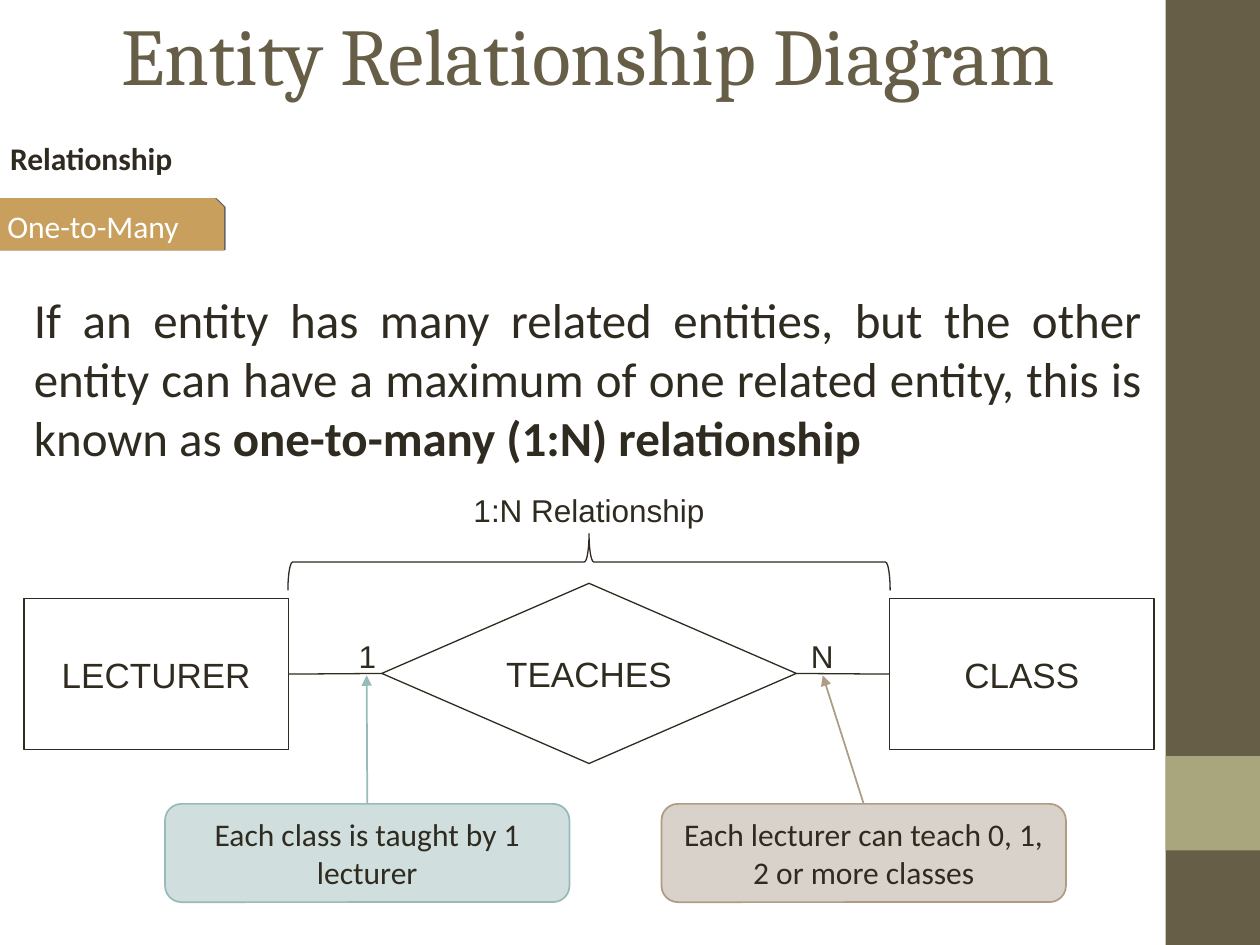
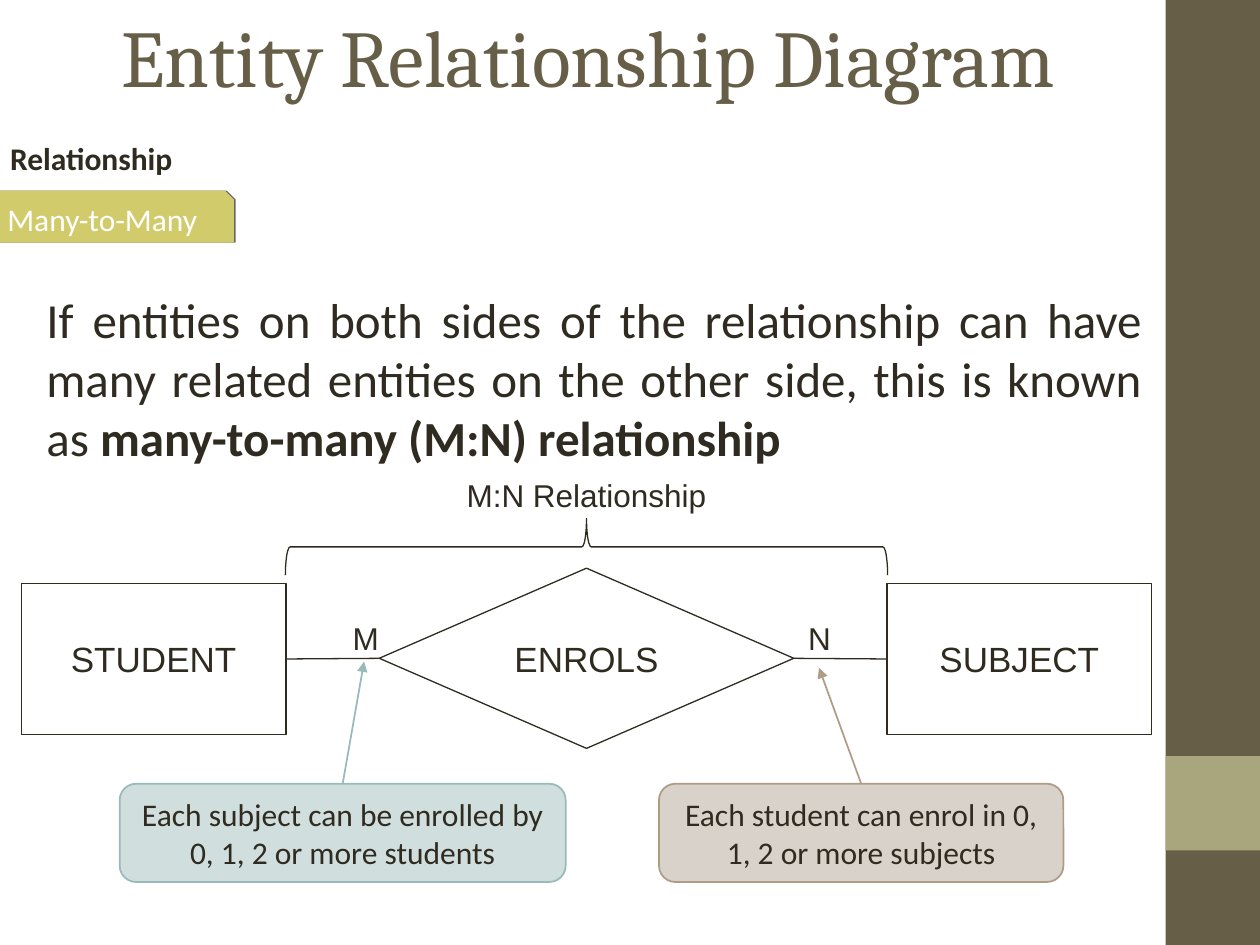
"""Two entity relationship slides: one-to-many and many-to-many."""
from dataclasses import dataclass
from typing import NamedTuple, Optional

from lxml.etree import SubElement
from pptx import Presentation
from pptx.dml.color import RGBColor
from pptx.enum.shapes import MSO_CONNECTOR, MSO_SHAPE
from pptx.enum.text import MSO_ANCHOR, PP_ALIGN
from pptx.oxml.ns import qn
from pptx.util import Inches, Pt

COLS, ROWS = 100, 75
CELL = Inches(0.1)


@dataclass(frozen=True)
class Theme:
    """Colours, fonts and type sizes of the deck."""
    olive: str = "675E47"
    sage: str = "A9A57C"
    ink: str = "2F2B20"
    white: str = "FFFFFF"
    ochre: str = "C89F5D"
    lime: str = "D2CB6C"
    teal: str = "98BBB9"
    pale_teal: str = "D0DEDE"
    tan: str = "AE9C85"
    pale_tan: str = "D9D2CA"
    head: str = "Cambria"
    body: str = "Calibri"
    diagram: str = "Arial"
    title: int = 46
    text: int = 28
    entity: int = 20
    small: int = 18
    thin: float = 0.75
    edge: float = 1


T = Theme()


class Box(NamedTuple):
    """A place on the grid, in columns and rows."""
    col: float
    row: float
    cols: float
    rows: float

    def emu(self) -> list[int]:
        """Return the place as lengths."""
        return [round(v * CELL) for v in self]


class Style(NamedTuple):
    """The look of a piece of text."""
    font: str
    size: int
    color: str = T.ink
    align: PP_ALIGN = PP_ALIGN.CENTER
    anchor: MSO_ANCHOR = MSO_ANCHOR.MIDDLE
    wrap: bool = True


TITLE = Style(T.head, T.title, T.olive)
TOPIC = Style(T.body, T.small, align=PP_ALIGN.LEFT, anchor=MSO_ANCHOR.TOP)
TAB = Style(T.body, T.small, T.white, PP_ALIGN.JUSTIFY)
BODY = Style(T.body, T.text, align=PP_ALIGN.JUSTIFY, anchor=MSO_ANCHOR.TOP)
ENTITY = Style(T.diagram, T.entity)
LABEL = Style(T.diagram, T.small, anchor=MSO_ANCHOR.TOP, wrap=False)
CAPTION = Style(T.diagram, T.small, anchor=MSO_ANCHOR.TOP)
NOTE = Style(T.body, T.small)


class Callout(NamedTuple):
    """A rounded note with an arrow to a cardinality."""
    text: str
    box: Box
    target: tuple[float, float]
    fill: str
    line: str


@dataclass(frozen=True)
class Relation:
    """Everything that differs from slide to slide."""
    title_rows: float
    tab: str
    tab_box: Box
    tab_color: str
    body_col: float
    definition: str
    term: str
    origin: tuple[float, float]
    left: str
    verb: str
    right: str
    marks: tuple[str, str]
    mark_row: float
    callouts: tuple[Callout, Callout]


RELATIONS = (
    Relation(
        8.4, "One-to-Many", Box(-0.4, 15.8, 18.1, 4), T.ochre, 1.7,
        "If an entity has many related entities, but the other entity can have "
        "a maximum of one related entity, this is known as ",
        "one-to-many (1:N) relationship",
        (1.9, 46.3), "LECTURER", "TEACHES", "CLASS", ("1", "N"), 50.1,
        (Callout("Each class is taught by 1 lecturer", Box(13.1, 63.8, 32.1, 7.8),
                 (29.1, 53.6), T.pale_teal, T.teal),
         Callout("Each lecturer can teach 0, 1, 2 or more classes",
                 Box(52.5, 63.8, 32.1, 7.8), (65.3, 53.6), T.pale_tan, T.tan))),
    Relation(
        8.8, "Many-to-Many", Box(-0.4, 15.2, 18.9, 4), T.lime, 2.7,
        "If entities on both sides of the relationship can have many related "
        "entities on the other side, this is known as ",
        "many-to-many (M:N) relationship",
        (1.7, 45.1), "STUDENT", "ENROLS", "SUBJECT", ("M", "N"), 48.6,
        (Callout("Each subject can be enrolled by 0, 1, 2 or more students",
                 Box(9.5, 62.2, 35.4, 7.8), (28.9, 52.5), T.pale_teal, T.teal),
         Callout("Each student can enrol in 0, 1, 2 or more subjects",
                 Box(52.3, 62.2, 32.1, 7.8), (65, 53), T.pale_tan, T.tan))),
)


def apply(target, values: dict) -> None:
    """Set attributes from a dict of format values."""
    for name, value in values.items():
        setattr(target, name, value)


def write(sp, style: Style, *runs: tuple[str, bool]):
    """Write one paragraph of (text, bold) runs into a shape."""
    tf = sp.text_frame
    apply(tf, {"word_wrap": style.wrap, "vertical_anchor": style.anchor})
    p = tf.paragraphs[0]
    p.alignment = style.align
    for text, bold in runs:
        r = p.add_run()
        r.text = text
        apply(r.font, {"name": style.font, "size": Pt(style.size), "bold": bold})
        r.font.color.rgb = RGBColor.from_string(style.color)
    return sp


def add_text(s, box: Box, style: Style, *runs: tuple[str, bool]):
    """Add a text box."""
    return write(s.shapes.add_textbox(*box.emu()), style, *runs)


def add_block(s, kind: MSO_SHAPE, box: Box, fill: Optional[str] = None,
              line: Optional[str] = None, width: float = T.thin):
    """Add a flat preset shape."""
    sp = s.shapes.add_shape(kind, *box.emu())
    sp.shadow.inherit = False
    for part, color in ((sp.fill, fill), (sp.line.fill, line)):
        if color:
            part.solid()
            part.fore_color.rgb = RGBColor.from_string(color)
        else:
            part.background()
    if line:
        sp.line.width = Pt(width)
    return sp


def add_line(s, start, side: int, end: tuple[float, float], color: str,
             width: float, arrow: bool = False):
    """Add a straight line that starts at the middle of a shape's side."""
    x, y = (round(v * CELL) for v in end)
    c = s.shapes.add_connector(MSO_CONNECTOR.STRAIGHT, x, y, x, y)
    c.begin_connect(start, side)
    c.line.color.rgb = RGBColor.from_string(color)
    c.line.width = Pt(width)
    if arrow:
        SubElement(c.line._get_or_add_ln(), qn("a:tailEnd"), type="triangle")
    SubElement(c._element.spPr, qn("a:effectLst"))
    return c


def add_frame(s, rel: Relation) -> None:
    """Draw the side band, title, topic and tab."""
    band = COLS * 0.925
    for row, rows, color in ((0, ROWS, T.olive), (ROWS * 0.8, ROWS * 0.1, T.sage)):
        add_block(s, MSO_SHAPE.RECTANGLE, Box(band, row, COLS - band, rows), color)
    add_text(s, Box(5, 0, 83.3, rel.title_rows), TITLE,
             ("Entity Relationship Diagram", False))
    topic = add_text(s, Box(0, 11.5, 16.3, 3.5), TOPIC, ("Relationship", True))
    apply(topic.text_frame, {"margin_left": Inches(0.08), "margin_right": Inches(0.08),
                             "margin_top": 0, "margin_bottom": 0})
    topic.text_frame.paragraphs[0].line_spacing = Pt(18)
    tab = add_block(s, MSO_SHAPE.SNIP_1_RECTANGLE, rel.tab_box, rel.tab_color,
                    rel.tab_color, T.edge)
    shadow = SubElement(tab._element.spPr.find(qn("a:effectLst")), qn("a:outerShdw"),
                        dist=str(Pt(1)), dir="0")
    black = SubElement(shadow, qn("a:srgbClr"), val="000000")
    SubElement(black, qn("a:alpha"), val="60000")
    write(tab, TAB, (rel.tab, False))


def add_diagram(s, rel: Relation) -> None:
    """Draw the entities, the relationship, the brace and the notes."""
    x, y = rel.origin
    names = (
        (rel.left, MSO_SHAPE.RECTANGLE, Box(x, y + 1.2, 21, 12)),
        (rel.right, MSO_SHAPE.RECTANGLE, Box(x + 68.7, y + 1.2, 21, 12)),
        (rel.verb, MSO_SHAPE.DIAMOND, Box(x + 28.4, y, 32.9, 14.3)),
    )
    left, right, diamond = (
        write(add_block(s, kind, box, T.white, T.ink), ENTITY, (name, False))
        for name, kind, box in names)
    for entity, side, tip in ((left, 3, 1), (right, 1, 3)):
        add_line(s, entity, side, (x, y), T.ink, T.thin).end_connect(diamond, tip)
    for mark, col in zip(rel.marks, (x + 25.3, x + 61.4)):
        add_text(s, Box(col, rel.mark_row, 3.9, 3.9), LABEL, (mark, False))
    for note in rel.callouts:
        sp = add_block(s, MSO_SHAPE.ROUNDED_RECTANGLE, note.box, note.fill,
                       note.line, T.edge)
        write(sp, NOTE, (note.text, False))
        add_line(s, sp, 0, note.target, note.line, T.edge, arrow=True)
    brace = add_block(s, MSO_SHAPE.RIGHT_BRACE, Box(x + 42.6, y - 25.6, 4.5, 47.8),
                      line=T.ink)
    brace.rotation = 270
    add_text(s, Box(x + 28.3, y - 7.8, 33.1, 4), CAPTION,
             (":".join((rel.marks[0], "N Relationship")), False))


def main() -> None:
    """Build and save the deck."""
    prs = Presentation()
    apply(prs, {"slide_width": COLS * CELL, "slide_height": ROWS * CELL})
    for rel in RELATIONS:
        s = prs.slides.add_slide(prs.slide_layouts[6])
        add_frame(s, rel)
        add_text(s, Box(rel.body_col, 22.5, 91.6 - rel.body_col, 11.8), BODY,
                 (rel.definition, False), (rel.term, True))
        add_diagram(s, rel)
    prs.save("out.pptx")


if __name__ == "__main__":
    main()
